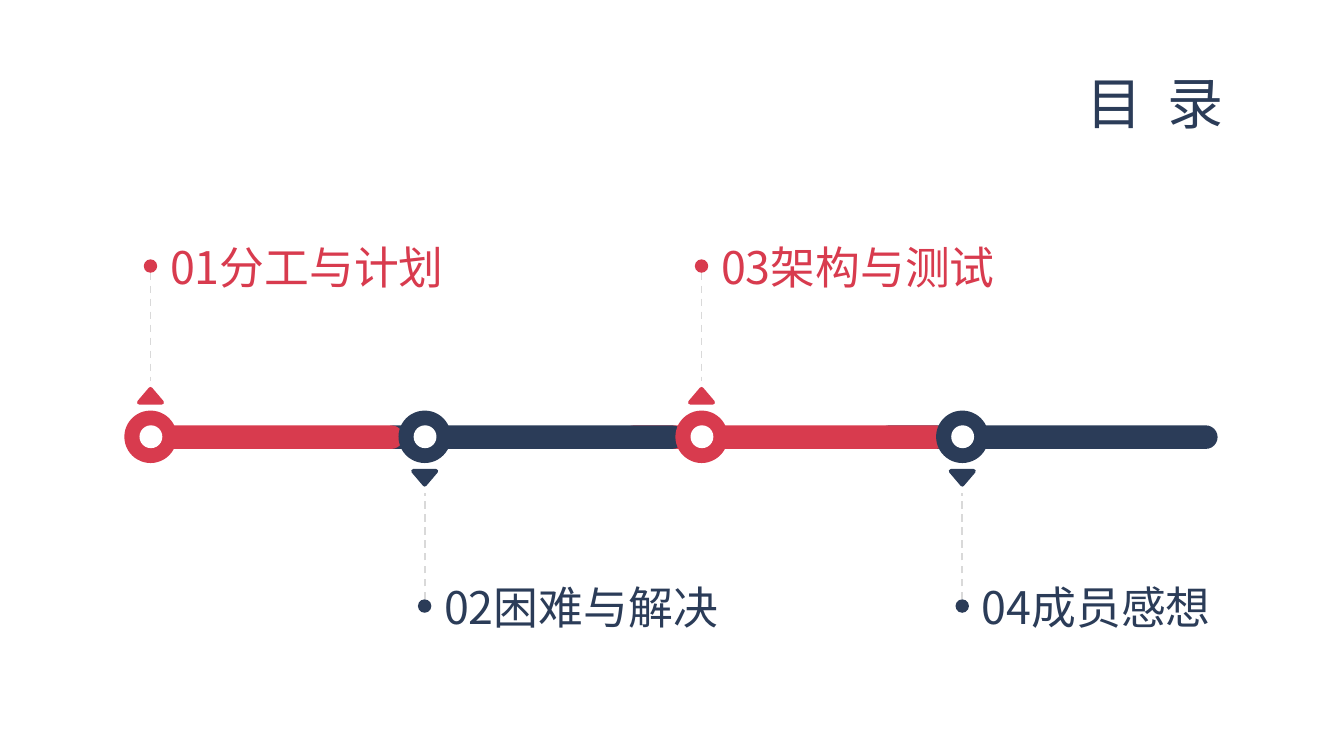
from lxml import etree
from pptx import Presentation
from pptx import util as u
from pptx.dml.color import RGBColor
from pptx.enum import dml, shapes, text
from pptx.oxml.ns import qn

RED, NAVY, GREY, WHITE = "D83B4E", "2B3C58", "D9D9D9", "FFFFFF"
FONT = "Noto Sans CJK SC"
COLS, ROWS = 100, 56.25
KIND = shapes.MSO_SHAPE


def tint(code):
    """Turn a hex string into a colour."""
    return RGBColor.from_string(code)


class Deck:
    """Draws on the current slide, in columns and rows of its grid."""

    def __init__(self):
        """Open a blank slide."""
        self.prs = Presentation()
        self.prs.slide_width = u.Inches(10)
        self.prs.slide_height = u.Inches(10 * 9 / 16)
        self.slide = self.prs.slides.add_slide(self.prs.slide_layouts[6])
        self.shapes = self.slide.shapes

    def spot(self, x, y):
        """Convert columns and rows to slide lengths."""
        return (round(x * self.prs.slide_width / COLS),
                round(y * self.prs.slide_height / ROWS))

    def shape(self, kind, x, y, w, h, fill, turn=0):
        """Add a plain filled preset shape."""
        item = self.shapes.add_shape(kind, *self.spot(x, y), *self.spot(w, h))
        item.shadow.inherit = False
        item.fill.solid()
        item.fill.fore_color.rgb = tint(fill)
        item.line.fill.background()
        item.rotation = turn
        return item

    def bar(self, x, y, w, h, fill):
        """Add a bar with fully round ends."""
        self.shape(KIND.ROUNDED_RECTANGLE, x, y, w, h, fill).adjustments[0] = 0.5

    def disc(self, x, y, size, fill):
        """Add a circle about a centre."""
        self.shape(KIND.OVAL, x - size / 2, y - size / 2, size, size, fill)

    def arrow(self, x, y, fill, turn):
        """Add a triangle with softened corners about a centre."""
        item = self.shape(KIND.ISOSCELES_TRIANGLE, x - 0.85, y - 0.5, 1.7, 1, fill, turn)
        item.line.color.rgb = tint(fill)
        item.line.width = u.Pt(2.25)
        edge = item.element.spPr.find(qn("a:ln"))
        etree.SubElement(edge, qn("a:round"))

    def dash(self, x, top, end):
        """Add a thin dashed upright line."""
        line = self.shapes.add_connector(shapes.MSO_CONNECTOR.STRAIGHT,
                                         *self.spot(x, top), *self.spot(x, end))
        line.line.color.rgb = tint(GREY)
        form = {"width": u.Pt(1), "dash_style": dml.MSO_LINE.DASH}
        for key, value in form.items():
            setattr(line.line, key, value)
        etree.SubElement(line.element.spPr, qn("a:effectLst"))

    def label(self, words, x, y, w, h, size, fill, side=0.09, align="LEFT", gap=0):
        """Add a wrapped line of text."""
        frame = self.shapes.add_textbox(*self.spot(x, y), *self.spot(w, h)).text_frame
        form = {"word_wrap": True, "auto_size": text.MSO_AUTO_SIZE.SHAPE_TO_FIT_TEXT,
                "margin_left": u.Inches(side), "margin_right": u.Inches(side),
                "margin_top": u.Inches(0.04), "margin_bottom": u.Inches(0.04)}
        for key, value in form.items():
            setattr(frame, key, value)
        para = frame.paragraphs[0]
        para.alignment = getattr(text.PP_ALIGN, align)
        run = para.add_run()
        run.text = words
        for key, value in {"name": FONT, "size": u.Pt(size)}.items():
            setattr(run.font, key, value)
        run.font.color.rgb = tint(fill)
        props = run.font._element
        etree.SubElement(props, qn("a:ea")).set("typeface", FONT)
        if gap:
            props.set("spc", str(gap))


def main():
    """Build the contents timeline."""
    deck = Deck()
    mid = 32.5
    bars = [(9.6, 20.4), (28.4, 22.5), (46.3, 24.2), (65.3, 25.3)]
    stops = [(11.2, "01分工与计划", 22.4), (31.6, "02困难与解决", 22.4),
             (52.2, "03架构与测试", 22.4), (71.6, "04成员感想", 19)]
    hues = [RED, NAVY] * 2
    for (x, w), hue in reversed(list(zip(bars, hues))):
        deck.bar(x, mid - 0.85, w, 1.75, hue)
    deck.label("目 录", 76.1, 4.7, 19.7, 5.8, 30, NAVY, 0.07, "CENTER", 330)
    for (x, words, w), hue in zip(stops, hues):
        up = hue == RED
        way = -1 if up else 1
        dot = 19.8 if up else 45.1
        deck.disc(x, mid, 3.9, hue)
        deck.disc(x + 0.03, mid, 1.7, WHITE)
        deck.arrow(x, mid + 3.05 * way, hue, 0 if up else 180)
        deck.dash(x, dot - 0.5 * way, mid + 4.15 * way)
        deck.disc(x, dot, 1, hue)
        deck.label(words, x + 0.55, dot - 2.35, w, 4.9, 24, hue)
    deck.prs.save("out.pptx")


if __name__ == "__main__":
    main()
